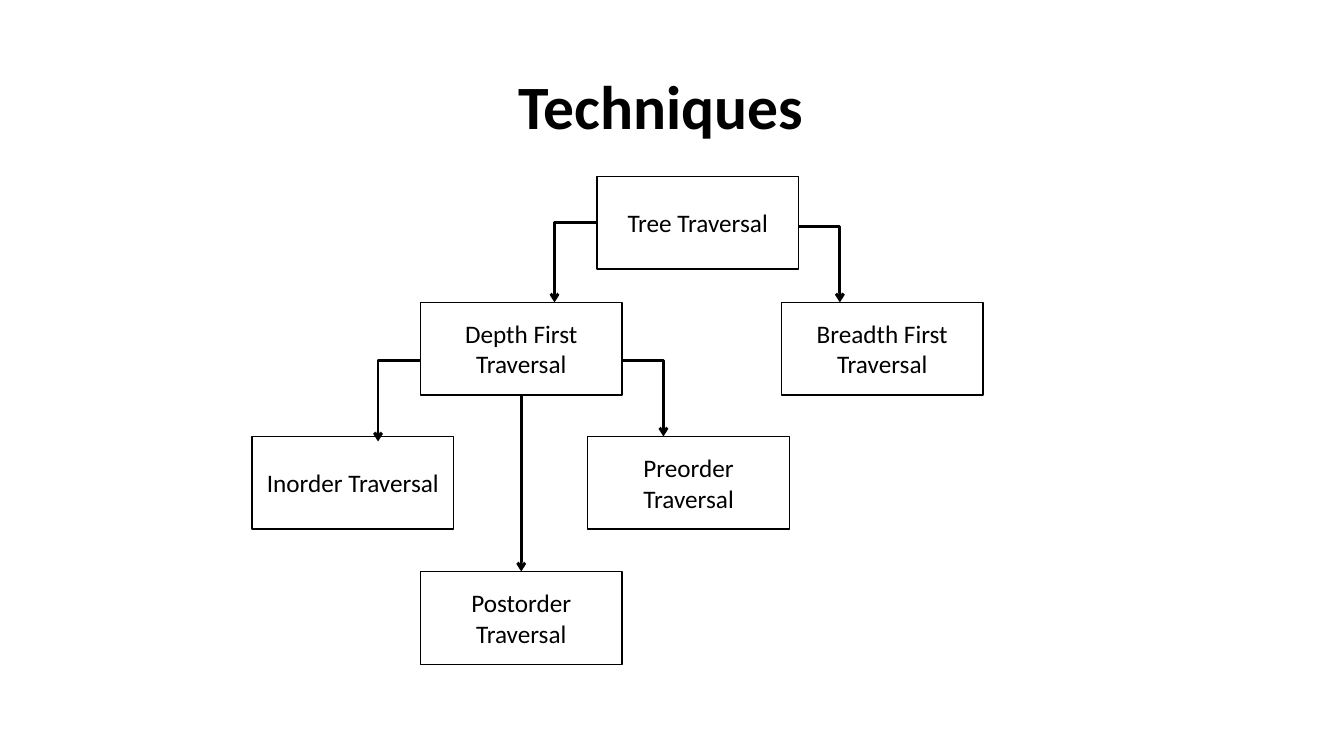
from dataclasses import dataclass

from lxml import etree
from pptx import Presentation
from pptx.dml.color import RGBColor
from pptx.enum.shapes import MSO_CONNECTOR, MSO_SHAPE
from pptx.enum.text import MSO_ANCHOR, PP_ALIGN
from pptx.oxml.ns import qn
from pptx.shapes.autoshape import Shape
from pptx.shapes.connector import Connector
from pptx.slide import Slide
from pptx.util import Inches, Pt

RECTANGLE = MSO_SHAPE.RECTANGLE
STRAIGHT = MSO_CONNECTOR.STRAIGHT
ELBOW = MSO_CONNECTOR.ELBOW
MIDDLE = MSO_ANCHOR.MIDDLE
LEFT = PP_ALIGN.LEFT
CENTER = PP_ALIGN.CENTER

BLACK = "000000"
BOX_WIDTH, BOX_HEIGHT = 2, 0.92
TOP_SIDE, BOTTOM_SIDE = 0, 2
TITLE_FORMAT = {"name": "Calibri", "size": Pt(44), "bold": True}
BOX_FORMAT = {"name": "Calibri", "size": Pt(18), "bold": False}


@dataclass(frozen=True)
class Node:
    label: str
    left: float
    top: float


@dataclass(frozen=True)
class Branch:
    start_x: float
    start_y: float
    end_x: float
    end_y: float


DEPTH_FIRST = Node("Depth First Traversal", 4.17, 3)
POSTORDER = Node("Postorder Traversal", 4.17, 5.67)
NODES = [
    Node("Tree Traversal", 5.92, 1.75),
    DEPTH_FIRST,
    Node("Breadth First Traversal", 7.75, 3),
    Node("Inorder Traversal", 2.5, 4.33),
    Node("Preorder Traversal", 5.83, 4.33),
    POSTORDER,
]
BRANCHES = [
    Branch(5.92, 2.21, 5.5, 3),
    Branch(4.17, 3.58, 3.75, 4.38),
    Branch(7.92, 2.25, 8.33, 3),
    Branch(6.17, 3.58, 6.58, 4.33),
]


def color(value: str) -> RGBColor:
    return RGBColor.from_string(value)


def write_text(shape: Shape, text: str, align: PP_ALIGN, formats: dict) -> None:
    frame = shape.text_frame
    frame.word_wrap = True
    frame.vertical_anchor = MIDDLE
    para = frame.paragraphs[0]
    para.alignment = align
    span = para.add_run()
    span.text = text
    for name, value in formats.items():
        setattr(span.font, name, value)
    span.font.color.rgb = color(BLACK)


def place_title(page: Slide, text: str) -> None:
    title = page.shapes.title
    title.left, title.top = Inches(5.04), Inches(0.5)
    title.width, title.height = Inches(3.25), Inches(1.18)
    write_text(title, text, LEFT, TITLE_FORMAT)
    title.text_frame.paragraphs[0].line_spacing = 0.9


def draw_node(page: Slide, node: Node) -> Shape:
    box = page.shapes.add_shape(
        RECTANGLE, Inches(node.left), Inches(node.top),
        Inches(BOX_WIDTH), Inches(BOX_HEIGHT),
    )
    box.shadow.inherit = False
    box.fill.background()
    box.line.color.rgb = color(BLACK)
    box.line.width = Pt(1)
    write_text(box, node.label, CENTER, BOX_FORMAT)
    return box


def style_arrow(arrow: Connector) -> None:
    arrow.line.color.rgb = color(BLACK)
    arrow.line.width = Pt(2)
    outline = arrow.line._get_or_add_ln()
    etree.SubElement(outline, qn("a:tailEnd"), type="arrow")
    etree.SubElement(arrow._element.spPr, qn("a:effectLst"))


def draw_branch(page: Slide, branch: Branch) -> None:
    arrow = page.shapes.add_connector(
        ELBOW, Inches(branch.start_x), Inches(branch.start_y),
        Inches(branch.end_x), Inches(branch.end_y),
    )
    arrow._element.spPr.find(qn("a:prstGeom")).set("prst", "bentConnector2")
    style_arrow(arrow)


def join_down(page: Slide, upper: Shape, lower: Shape) -> None:
    arrow = page.shapes.add_connector(STRAIGHT, 0, 0, 0, 0)
    arrow.begin_connect(upper, BOTTOM_SIDE)
    arrow.end_connect(lower, TOP_SIDE)
    style_arrow(arrow)


def main() -> None:
    deck = Presentation()
    deck.slide_width, deck.slide_height = Inches(13.33), Inches(7.5)
    page = deck.slides.add_slide(deck.slide_layouts[5])
    place_title(page, "Techniques")
    boxes = {node: draw_node(page, node) for node in NODES}
    for branch in BRANCHES:
        draw_branch(page, branch)
    join_down(page, boxes[DEPTH_FIRST], boxes[POSTORDER])
    deck.save("out.pptx")


if __name__ == "__main__":
    main()
